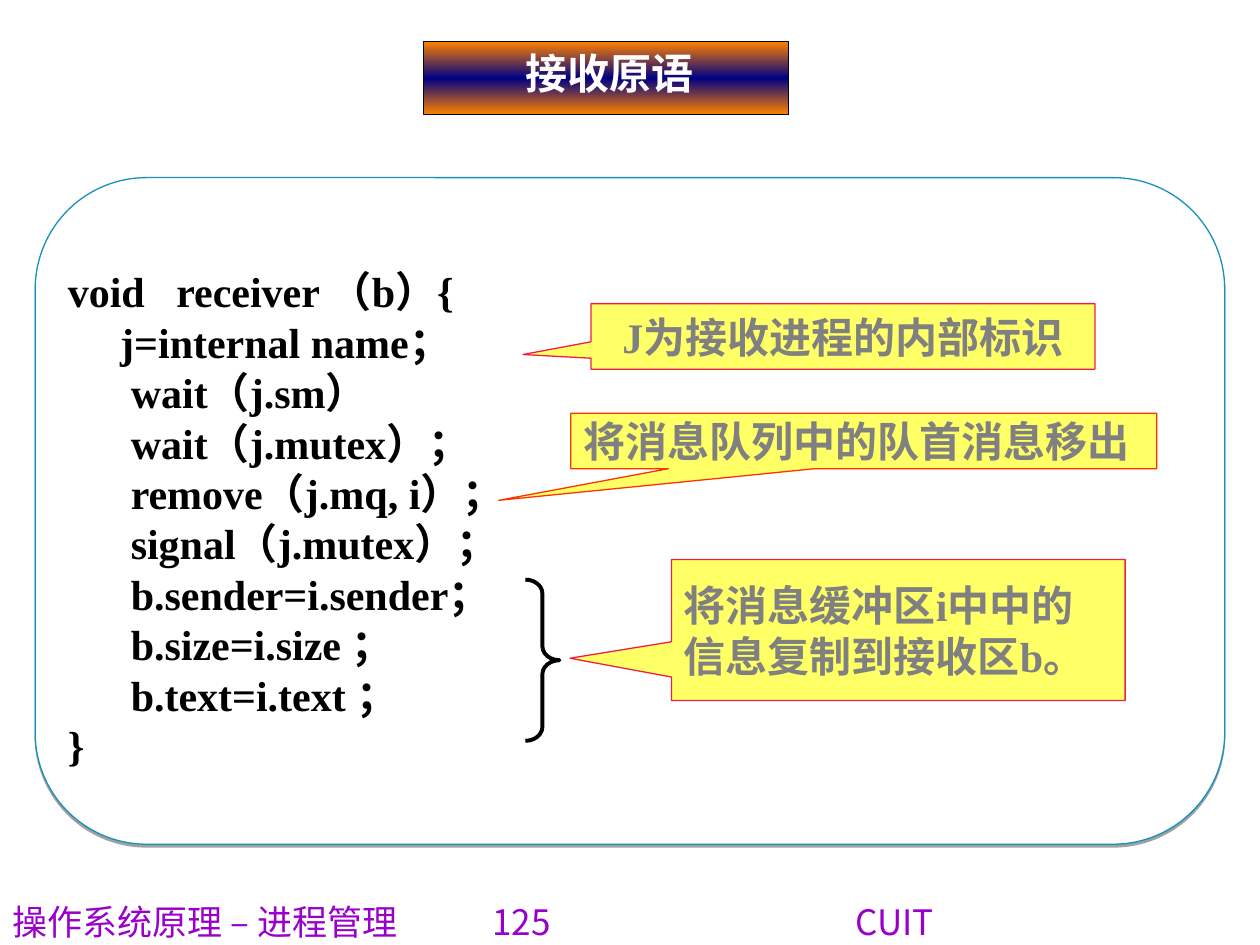
import pptx
import pptx.dml.color
import pptx.enum.dml
import pptx.enum.shapes
import pptx.enum.text
import pptx.oxml
import pptx.oxml.ns
import pptx.util
from dataclasses import dataclass
from typing import Optional

RGBColor = pptx.dml.color.RGBColor
Shape = pptx.enum.shapes.MSO_SHAPE
Anchor = pptx.enum.text.MSO_ANCHOR
Align = pptx.enum.text.PP_ALIGN

WHITE = RGBColor(0xFF, 0xFF, 0xFF)
BLACK = RGBColor(0x00, 0x00, 0x00)
PANEL_BLUE = RGBColor(0x17, 0x90, 0xBB)
PURPLE = RGBColor(0x99, 0x00, 0xCC)
ORANGE = RGBColor(0xFF, 0x82, 0x00)
NAVY = RGBColor(0x00, 0x00, 0x82)
YELLOW = RGBColor(0xFF, 0xFF, 0x66)
CRIMSON = RGBColor(0xF0, 0x1E, 0x46)
RED = RGBColor(0xFF, 0x33, 0x00)
GREY = RGBColor(0x80, 0x80, 0x80)

SERIF = "Times New Roman"
SANS = "Noto Sans CJK SC"
COLUMNS, ROWS = 100, 75
SLIDE_WIDTH = pptx.util.Inches(10)
SLIDE_HEIGHT = pptx.util.Inches(7.5)
DRAWING = pptx.oxml.ns.nsdecls("a")

CODE = """void   receiver （b）{
     j=internal name；
      wait（j.sm）
      wait（j.mutex）；
      remove（j.mq, i）；
      signal（j.mutex）；
      b.sender=i.sender；
      b.size=i.size ；
      b.text=i.text ；
}"""


@dataclass(frozen=True)
class Box:
    column: float
    row: float
    columns: float
    rows: float

    def lengths(self) -> tuple[int, int, int, int]:
        return (
            round(SLIDE_WIDTH * self.column / COLUMNS),
            round(SLIDE_HEIGHT * self.row / ROWS),
            round(SLIDE_WIDTH * self.columns / COLUMNS),
            round(SLIDE_HEIGHT * self.rows / ROWS),
        )


@dataclass(frozen=True)
class Callout:
    box: Box
    pointer: tuple[float, float]
    text: str
    line: RGBColor
    alignment: Align = Align.LEFT


CALLOUTS = [
    Callout(Box(46.9, 24.1, 40, 5.2), (-0.635, 0.277), "J为接收进程的内部标识", CRIMSON, Align.CENTER),
    Callout(Box(53.3, 44.4, 36, 11.2), (-0.724, 0.2), "将消息缓冲区i中中的信息复制到接收区b。", CRIMSON),
    Callout(Box(45.3, 32.8, 46.5, 4.4), (-0.623, 1.071), "将消息队列中的队首消息移出", RED),
]


def write_text(shape, text: str, color: RGBColor, anchor: Anchor = Anchor.MIDDLE,
               alignment: Align = Align.LEFT, font: str = SERIF, size: float = 24,
               bold: bool = True, tabs: tuple[float, ...] = ()) -> None:
    frame = shape.text_frame
    frame.word_wrap = True
    frame.auto_size = pptx.enum.text.MSO_AUTO_SIZE.NONE
    frame.vertical_anchor = anchor
    frame.text = text
    for paragraph in frame.paragraphs:
        paragraph.alignment = alignment
        if tabs:
            stops = "".join(f'<a:tab pos="{pptx.util.Inches(tab)}" algn="l"/>' for tab in tabs)
            properties = paragraph._p.get_or_add_pPr()
            properties.append(pptx.oxml.parse_xml(f"<a:tabLst {DRAWING}>{stops}</a:tabLst>"))
        paragraph.font.name = font
        paragraph.font.size = pptx.util.Pt(size)
        paragraph.font.bold = bold
        paragraph.font.color.rgb = color


def add_outlined(slide, kind: Shape, box: Box, line: RGBColor, width: float = 0.75,
                 fill: Optional[RGBColor] = None, adjustments: tuple[float, ...] = ()):
    shape = slide.shapes.add_shape(kind, *box.lengths())
    shape.shadow.inherit = False
    if fill is None:
        shape.fill.background()
    else:
        shape.fill.solid()
        shape.fill.fore_color.rgb = fill
    shape.line.color.rgb = line
    shape.line.width = pptx.util.Pt(width)
    for index, value in enumerate(adjustments):
        shape.adjustments[index] = value
    return shape


def add_panel(slide) -> None:
    panel = add_outlined(slide, Shape.ROUNDED_RECTANGLE, Box(2.8, 14.1, 94.4, 52.9),
                         PANEL_BLUE, fill=WHITE, adjustments=(0.167,))
    effects = panel._element.spPr.find(pptx.oxml.ns.qn("a:effectLst"))
    effects.append(pptx.oxml.parse_xml(
        f'<a:outerShdw {DRAWING} dist="{pptx.util.Pt(1.6)}" dir="5400000" rotWithShape="0">'
        f'<a:srgbClr val="{BLACK}"><a:alpha val="37000"/></a:srgbClr></a:outerShdw>'))


def format_title(title) -> None:
    title.left, title.top, title.width, title.height = Box(33.6, 3.3, 29, 5.8).lengths()
    title.fill.gradient()
    gradient = title.fill._xPr.find(pptx.oxml.ns.qn("a:gradFill"))
    stops = "".join(
        f'<a:gs pos="{position * 1000}"><a:srgbClr val="{color}"/></a:gs>'
        for position, color in ((0, ORANGE), (50, NAVY), (100, ORANGE)))
    gradient.replace(gradient.find(pptx.oxml.ns.qn("a:gsLst")),
                     pptx.oxml.parse_xml(f"<a:gsLst {DRAWING}>{stops}</a:gsLst>"))
    title.fill.gradient_angle = 270
    title.line.color.rgb = BLACK
    title.line.width = pptx.util.Pt(0.75)
    write_text(title, "接收原语", WHITE, Anchor.TOP, Align.CENTER)
    title.text_frame.margin_left = pptx.util.Inches(0.16)


def add_callout(slide, callout: Callout) -> None:
    shape = add_outlined(slide, Shape.RECTANGULAR_CALLOUT, callout.box, callout.line,
                         fill=YELLOW, adjustments=callout.pointer)
    write_text(shape, callout.text, GREY, alignment=callout.alignment)


def main() -> None:
    presentation = pptx.Presentation()
    presentation.slide_width = SLIDE_WIDTH
    presentation.slide_height = SLIDE_HEIGHT
    slide = presentation.slides.add_slide(presentation.slide_layouts.get_by_name("Title Only"))
    format_title(slide.shapes.title)
    add_panel(slide)

    footer = slide.shapes.add_textbox(*Box(0, 71, 100, 4).lengths())
    write_text(footer, "操作系统原理 – 进程管理\t125\tCUIT", PURPLE, Anchor.TOP,
               font=SANS, size=20, bold=False, tabs=(3.81, 6.69))

    code = slide.shapes.add_textbox(*Box(4.4, 20.6, 91.7, 41).lengths())
    write_text(code, CODE, BLACK)

    add_outlined(slide, Shape.RIGHT_BRACE, Box(41.7, 46, 2.7, 12.8), BLACK, 2.25,
                 adjustments=(0.41, 0.5))
    for callout in CALLOUTS:
        add_callout(slide, callout)
    presentation.save("out.pptx")


if __name__ == "__main__":
    main()
